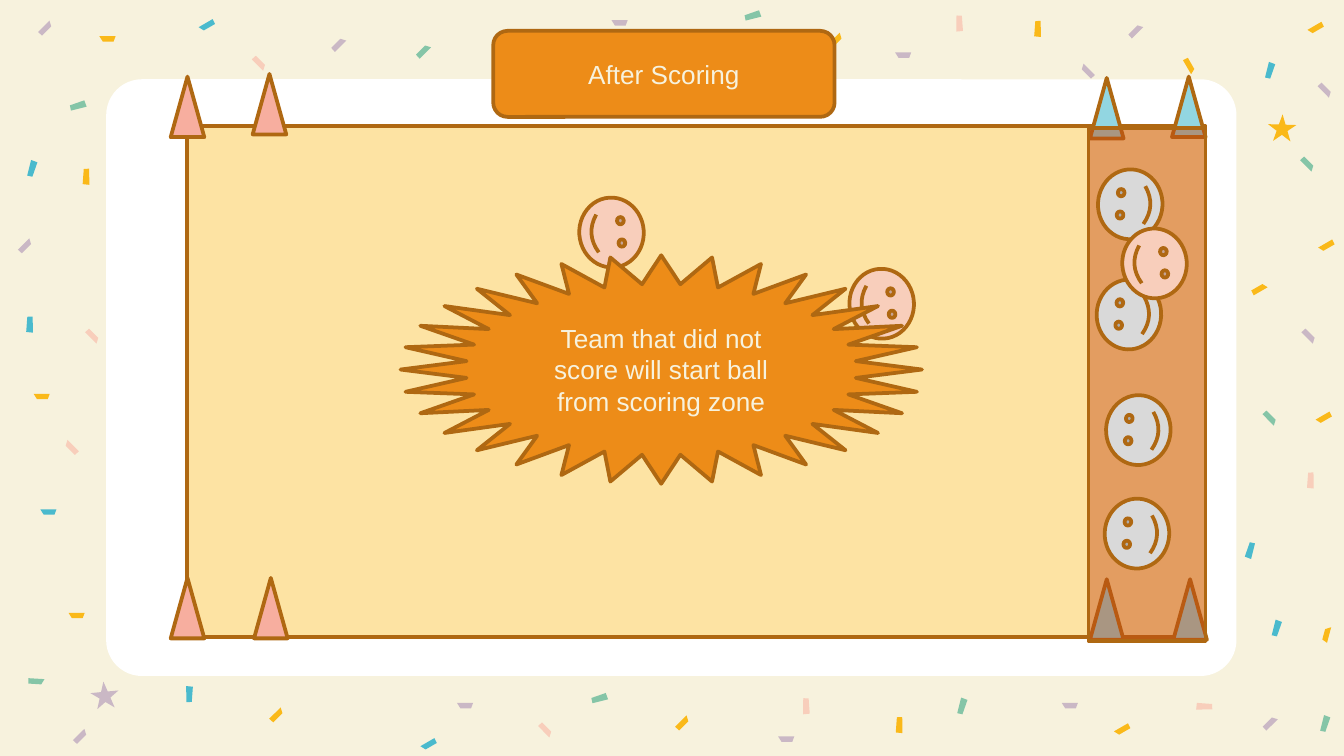
from lxml import etree
from pptx import Presentation
from pptx import util as u
from pptx.dml.color import RGBColor
from pptx.enum import shapes, text
from pptx.oxml.ns import qn

KIND = shapes.MSO_SHAPE
CREAM, BROWN, ORANGE = "F7F2DD", "AF6812", "ED8C18"
PINK, SILVER = "F8CEBB", "D9D9D9"
YELLOW, BLUE, GREEN, LILAC = "FAB919", "4ABACD", "85C5A7", "CAB8C5"

# Confetti outlines in thousandths of an inch
OUTLINES = {
    "trapezoid": [(15, 0), (95, 0), (120, 40), (0, 40)],
    "slant": [(0, 0), (120, 0), (118, 40), (22, 40)],
    "slant mirrored": [(120, 0), (0, 0), (2, 40), (98, 40)],
    "strip": [(0, 2), (120, 0), (115, 50), (2, 42)],
    "strip mirrored": [(120, 2), (0, 0), (5, 50), (118, 42)],
}

# (outline, angle): left and top of each piece in inches, by colour
CONFETTI = {
    ("trapezoid", 180): {
        YELLOW: [(0.51, 4.56), (0.25, 2.93), (0.74, 0.27)],
        BLUE: [(0.3, 3.79)],
        LILAC: [(5.79, 5.48), (7.9, 5.23), (3.4, 5.23), (6.66, 0.39),
                (4.55, 0.15)],
    },
    ("trapezoid", 285): {YELLOW: [(9.81, 4.7)]},
    ("slant", 45): {PINK: [(0.47, 3.31)], LILAC: [(8.03, 0.51)]},
    ("slant", 135): {
        LILAC: [(9.39, 5.36), (8.39, 0.21), (2.46, 0.31)],
        GREEN: [(3.09, 0.36)],
    },
    ("slant", 150): {YELLOW: [(9.31, 2.13)]},
    ("slant", 225): {
        LILAC: [(9.68, 2.48), (9.8, 0.65)],
        PINK: [(4, 5.41), (0.63, 2.48), (1.87, 0.45)],
        GREEN: [(9.39, 3.09), (9.67, 1.2)],
    },
    ("slant", 240): {YELLOW: [(8.79, 0.47)]},
    ("slant", 330): {
        YELLOW: [(8.29, 5.41), (9.79, 3.09), (9.81, 1.81), (9.73, 0.19)],
        BLUE: [(3.13, 5.52), (1.48, 0.17)],
    },
    ("slant mirrored", 3.4): {GREEN: [(0.21, 5.05)]},
    ("slant mirrored", 315): {
        YELLOW: [(5.02, 5.36), (2, 5.3), (6.16, 0.28)],
        LILAC: [(0.54, 5.46), (0.13, 1.81), (0.28, 0.19)],
    },
    ("trapezoid", -180): {YELLOW: [(3.71, 0.24)]},
    ("strip", 90): {
        YELLOW: [(6.63, 5.37), (7.66, 0.19), (0.58, 1.29)],
        PINK: [(9.69, 3.55)],
        BLUE: [(0.16, 2.39)],
    },
    ("strip", 105): {BLUE: [(9.24, 4.07)]},
    ("strip", 180): {PINK: [(8.9, 5.23)]},
    ("strip", 270): {BLUE: [(1.35, 5.14)]},
    ("strip", 285): {
        GREEN: [(9.8, 5.36), (7.1, 5.23)],
        BLUE: [(9.44, 4.65), (9.39, 0.5), (0.18, 1.23)],
    },
    ("strip mirrored", 165): {GREEN: [(4.4, 5.17), (5.54, 0.09), (0.52, 0.76)]},
    ("strip mirrored", 270): {PINK: [(5.94, 5.23), (7.08, 0.15)]},
}


def inches(value):
    return u.Cm(value * 2.54)


def colour(value):
    return RGBColor.from_string(value)


def paint(shape, fill, line=None, opacity=None):
    shape.fill.solid()
    shape.fill.fore_color.rgb = colour(fill)
    if opacity is not None:
        tint = shape.element.spPr.find(qn("a:solidFill"))[0]
        etree.SubElement(tint, qn("a:alpha"), val=str(opacity * 1000))
    if line is None:
        shape.line.fill.background()
        return
    shape.line.color.rgb = colour(line)
    shape.line.width = u.Pt(2)
    etree.SubElement(shape.element.spPr.find(qn("a:ln")), qn("a:round"))


def add_figure(page, kind, frame, fill, line=BROWN, angle=0, opacity=None):
    figure = page.shapes.add_shape(kind, *map(inches, frame))
    figure.shadow.inherit = False
    figure.rotation = angle
    paint(figure, fill, line, opacity)
    return figure


def write(shape, words, size=14, font="Arial", ink=CREAM):
    frame = shape.text_frame
    frame.word_wrap = True
    frame.auto_size = text.MSO_AUTO_SIZE.NONE
    frame.vertical_anchor = text.MSO_ANCHOR.MIDDLE
    para = frame.paragraphs[0]
    para.alignment = text.PP_ALIGN.CENTER
    span = para.add_run()
    span.text = words
    span.font.size = u.Pt(size)
    span.font.name = font
    span.font.color.rgb = colour(ink)


def add_confetti(page):
    for (outline, angle), pieces in CONFETTI.items():
        start, *others = OUTLINES[outline]
        for fill, places in pieces.items():
            for left, top in places:
                pen = page.shapes.build_freeform(*start, scale=inches(0.001))
                pen.add_line_segments(others, close=True)
                piece = pen.convert_to_shape(inches(left), inches(top))
                piece.shadow.inherit = False
                piece.rotation = angle
                paint(piece, fill)


def add_cones(page, fill, places):
    for left, top in places:
        add_figure(page, KIND.ISOSCELES_TRIANGLE, (left, top, 0.25, 0.45), fill)


def add_players(page, fill, angle, places):
    for left, top in places:
        add_figure(page, KIND.SMILEY_FACE, (left, top, 0.52, 0.48), fill, angle=angle)


def add_title(page, words, frame):
    """Set the title placeholder over a rounded banner, in front of everything."""
    add_figure(page, KIND.ROUNDED_RECTANGLE, frame, ORANGE)
    title = page.shapes.title
    title.left, title.top, title.width, title.height = map(inches, frame)
    write(title, words)
    title.element.getparent().append(title.element)


def main():
    deck = Presentation()
    deck.slide_width, deck.slide_height = inches(10), inches(10 * 9 / 16)
    page = deck.slides.add_slide(deck.slide_layouts[5])
    page.background.fill.solid()
    page.background.fill.fore_color.rgb = colour(CREAM)

    add_confetti(page)
    add_figure(page, KIND.STAR_5_POINT, (9.44, 0.87, 0.21, 0.2), YELLOW, None, 145.7)
    add_figure(page, KIND.STAR_5_POINT, (0.67, 5.09, 0.21, 0.2), LILAC, None, 210.5)
    card = add_figure(page, KIND.ROUNDED_RECTANGLE, (0.79, 0.59, 8.41, 4.44), "FFFFFF", None)
    card.adjustments[0] = 0.06

    add_figure(page, KIND.RECTANGLE, (1.39, 0.94, 7.58, 3.8), "FDE3A3")
    add_cones(page, "F7AE9F", [(1.27, 0.57), (1.88, 0.55), (1.27, 4.3), (1.89, 4.3)])
    add_cones(page, "92D6E1", [(8.11, 0.58), (8.72, 0.57), (8.11, 4.31), (8.73, 4.31)])
    add_players(page, PINK, 86.1, [(6.3, 2.02), (4.29, 1.49), (4.15, 2.75)])
    add_figure(page, KIND.RECTANGLE, (8.1, 0.95, 0.87, 3.82), "C54B14", opacity=46)
    add_players(page, SILVER, 272.9, [(8.2, 3.73), (8.21, 2.96), (8.14, 2.1), (8.15, 1.28)])

    burst = add_figure(page, KIND.STAR_32_POINT, (2.98, 1.9, 3.88, 1.7), ORANGE)
    write(burst, "Team that did not score will start ball from scoring zone")
    add_players(page, PINK, 86.1, [(8.33, 1.72)])
    add_title(page, "After Scoring", (3.67, 0.23, 2.54, 0.64))
    deck.save("out.pptx")


if __name__ == "__main__":
    main()
